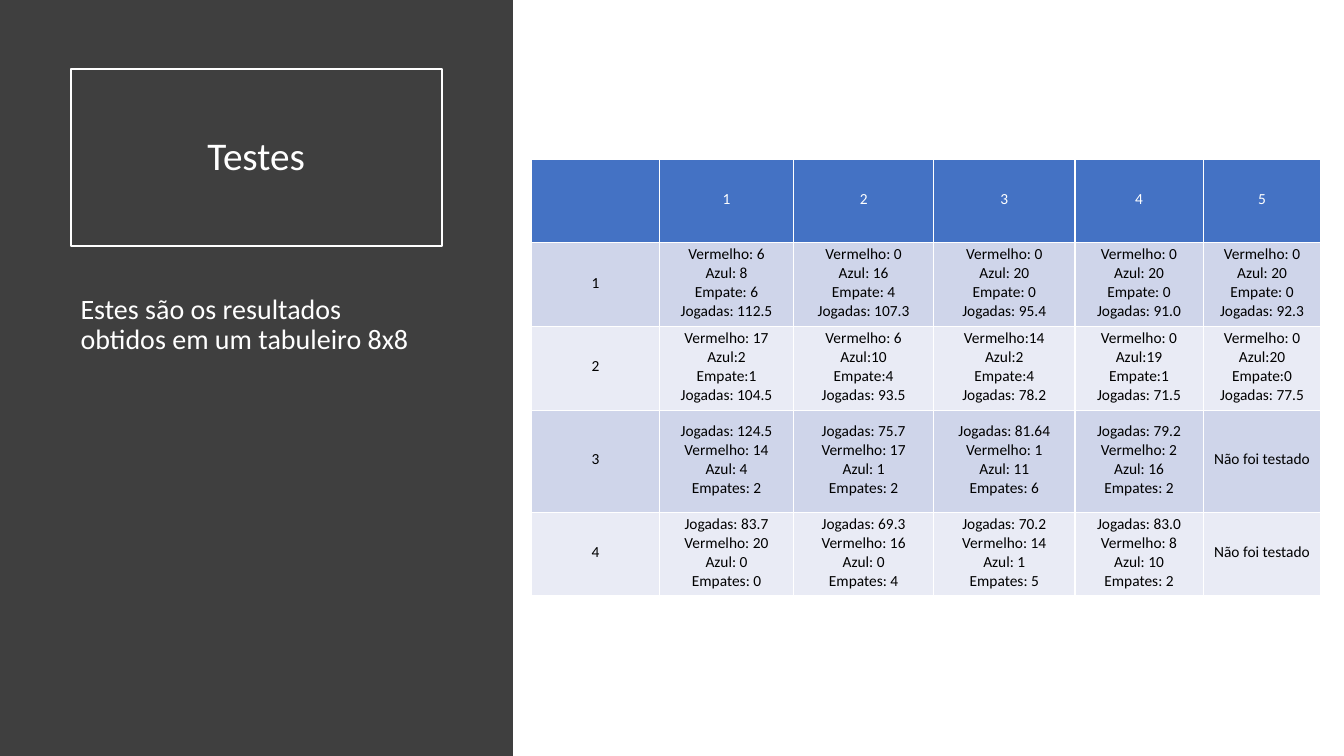
from pptx import Presentation
from pptx.dml.color import RGBColor
from pptx.enum.shapes import MSO_SHAPE
from pptx.enum.text import MSO_ANCHOR, PP_ALIGN
from pptx.util import Cm, Pt

RECTANGLE = MSO_SHAPE.RECTANGLE
MIDDLE, TOP = MSO_ANCHOR.MIDDLE, MSO_ANCHOR.TOP
CENTER, LEFT = PP_ALIGN.CENTER, PP_ALIGN.LEFT

WHITE, BLACK, DARK_GREY = "FFFFFF", "000000", "3F3F3F"
HEADER_BLUE, BAND_FILLS = "4472C4", ("CFD5EA", "E9EBF5")
LINE_BREAK = "\v"

COLUMN_WIDTHS = (3.23, 3.38, 3.53, 3.56, 3.23, 2.97)
ROW_HEIGHTS = (2.11, 2.11, 2.11, 2.57, 2.11)
CELL_FORMAT = {
    "vertical_anchor": MIDDLE,
    "margin_left": Cm(0.03),
    "margin_right": Cm(0.03),
    "margin_top": Cm(0.03),
    "margin_bottom": Cm(0.13),
}

# A slash parts the lines of a cell.
RESULTS = [
    ["", "1", "2", "3", "4", "5"],
    ["1",
     "Vermelho: 6/Azul: 8/Empate: 6/Jogadas: 112.5",
     "Vermelho: 0/Azul: 16/Empate: 4/Jogadas: 107.3",
     "Vermelho: 0/Azul: 20/Empate: 0/Jogadas: 95.4",
     "Vermelho: 0/Azul: 20/Empate: 0/Jogadas: 91.0",
     "Vermelho: 0/Azul: 20/Empate: 0/Jogadas: 92.3"],
    ["2",
     "Vermelho: 17/Azul:2/Empate:1/Jogadas: 104.5",
     "Vermelho: 6/Azul:10/Empate:4/Jogadas: 93.5",
     "Vermelho:14/Azul:2/Empate:4/Jogadas: 78.2",
     "Vermelho: 0/Azul:19/Empate:1/Jogadas: 71.5",
     "Vermelho: 0/Azul:20/Empate:0/Jogadas: 77.5"],
    ["3",
     "Jogadas: 124.5/Vermelho: 14/Azul: 4/Empates: 2",
     "Jogadas: 75.7/Vermelho: 17/Azul: 1/Empates: 2",
     "Jogadas: 81.64/Vermelho: 1/Azul: 11/Empates: 6",
     "Jogadas: 79.2/Vermelho: 2/Azul: 16/Empates: 2",
     "Não foi testado"],
    ["4",
     "Jogadas: 83.7/Vermelho: 20/Azul: 0/Empates: 0",
     "Jogadas: 69.3/Vermelho: 16/Azul: 0/Empates: 4",
     "Jogadas: 70.2/Vermelho: 14/Azul: 1/Empates: 5",
     "Jogadas: 83.0/Vermelho: 8/Azul: 10/Empates: 2",
     "Não foi testado"],
]


def paint(color_format, color):
    color_format.rgb = RGBColor.from_string(color)


def style_text(frame, size, color, alignment, **para_format):
    """Format every paragraph; para_format holds further paragraph attributes."""
    for para in frame.paragraphs:
        para.alignment = alignment
        for name, value in para_format.items():
            setattr(para, name, value)
        for span in para.runs:
            for name, value in {"name": "Calibri", "size": Pt(size), "bold": False}.items():
                setattr(span.font, name, value)
            paint(span.font.color, color)


deck = Presentation()
deck.slide_width, deck.slide_height = Cm(33.87), Cm(19.05)
page = deck.slides.add_slide(deck.slide_layouts[5])

# Title and side panel, the panel lying behind
title = page.shapes.title
title.left, title.top, title.width, title.height = Cm(1.78), Cm(1.73), Cm(9.35), Cm(4.47)
title.line.width = Pt(1.5)
paint(title.line.color, WHITE)

panel = page.shapes.add_shape(RECTANGLE, 0, 0, Cm(12.93), deck.slide_height)
panel.shadow.inherit = False
panel.fill.solid()
paint(panel.fill.fore_color, DARK_GREY)
panel.line.fill.background()
title.element.addprevious(panel.element)

# Title and description text
description = page.shapes.add_textbox(Cm(1.78), Cm(7.32), Cm(9.35), Cm(9.5))
for box, text, size, alignment, anchor in (
    (title, "Testes", 28, CENTER, MIDDLE),
    (description, "Estes são os resultados obtidos em um tabuleiro 8x8", 20, LEFT, TOP),
):
    frame = box.text_frame
    frame.text = text
    frame.word_wrap = True
    frame.vertical_anchor = anchor
    style_text(frame, size, WHITE, alignment, line_spacing=0.9, space_before=Pt(10))

# Results table
table = page.shapes.add_table(
    len(ROW_HEIGHTS), len(COLUMN_WIDTHS), Cm(13.39), Cm(4.01),
    Cm(sum(COLUMN_WIDTHS)), Cm(sum(ROW_HEIGHTS)),
).table
for column, width in zip(table.columns, COLUMN_WIDTHS):
    column.width = Cm(width)

for row_number, (row, height, texts) in enumerate(zip(table.rows, ROW_HEIGHTS, RESULTS)):
    row.height = Cm(height)
    is_header = row_number == 0
    fill = HEADER_BLUE if is_header else BAND_FILLS[(row_number - 1) % 2]
    separator = LINE_BREAK if row_number < 3 else "\n"
    for cell, text in zip(row.cells, texts):
        cell.text = text.replace("/", separator)
        for name, value in CELL_FORMAT.items():
            setattr(cell, name, value)
        cell.fill.solid()
        paint(cell.fill.fore_color, fill)
        style_text(cell.text_frame, 11, WHITE if is_header else BLACK, CENTER)

deck.save("out.pptx")
